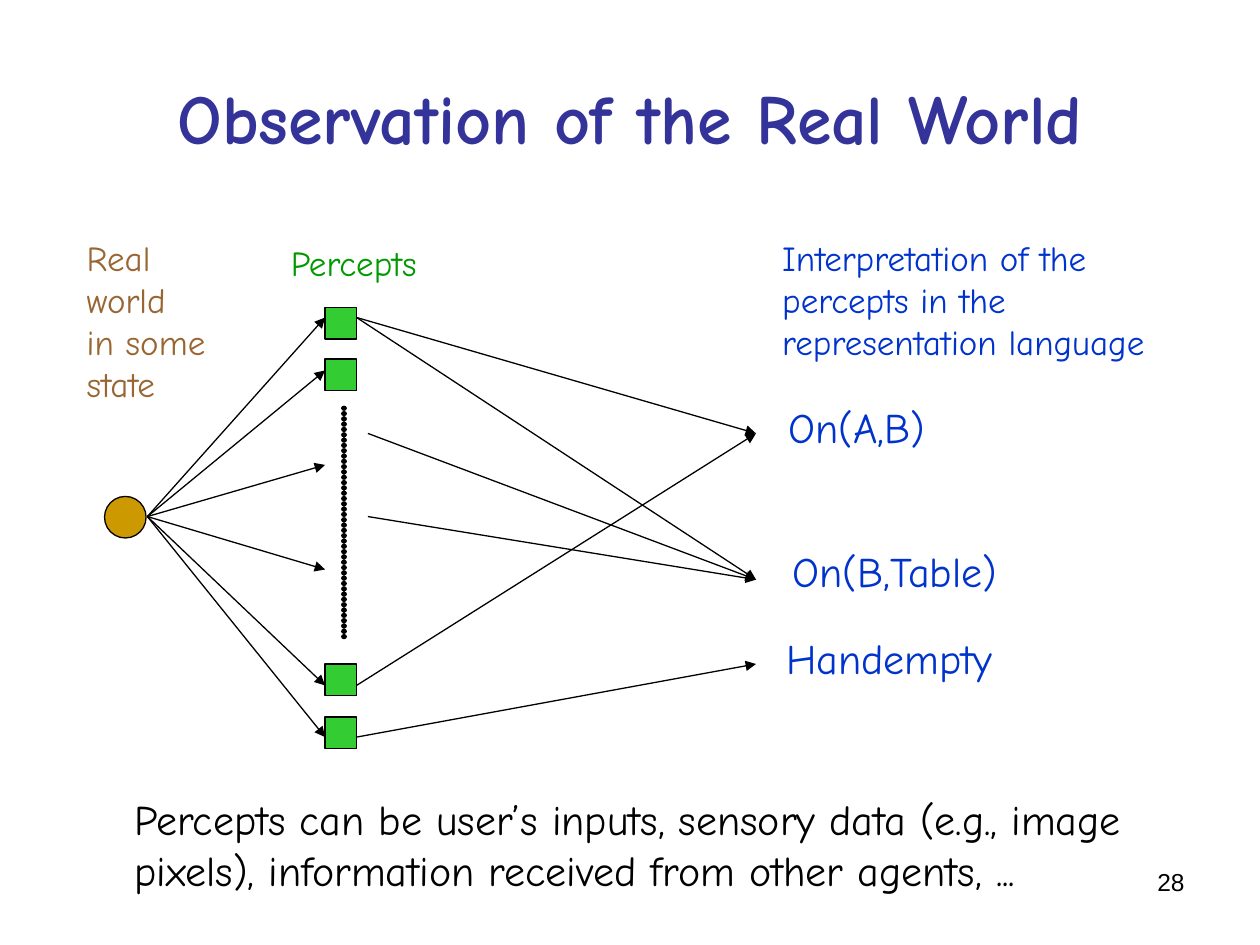
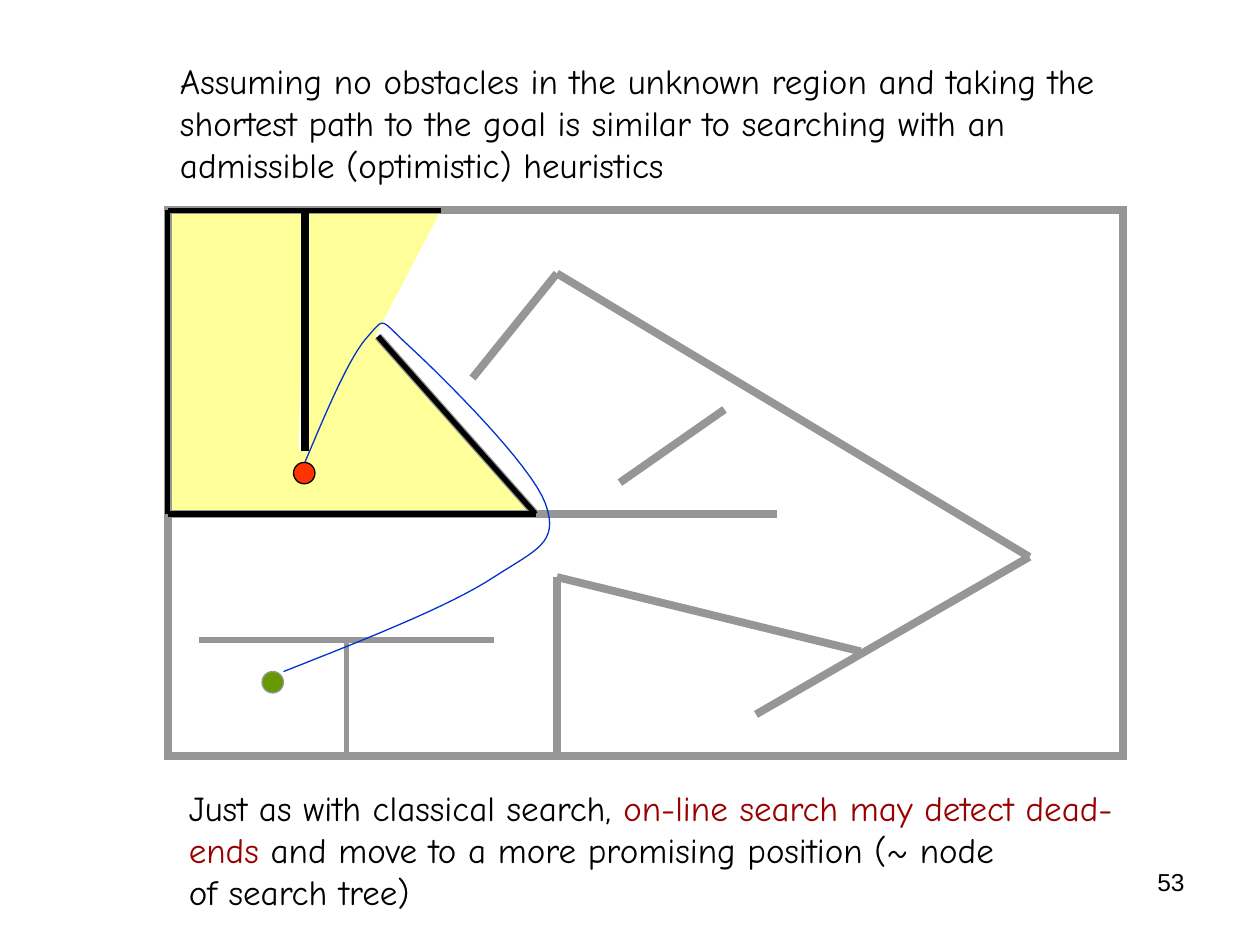
"""Builds two lecture slides: observing the real world, and on-line search in an unknown region."""
from dataclasses import dataclass

import pptx
import pptx.dml.color
import pptx.enum.shapes
import pptx.enum.text
import pptx.oxml
import pptx.oxml.ns
import pptx.util

Inches = pptx.util.Inches
MSO_SHAPE = pptx.enum.shapes.MSO_SHAPE
PP_ALIGN = pptx.enum.text.PP_ALIGN


@dataclass(frozen=True)
class Theme:
    """Fonts, type sizes, line widths and colours of the deck."""

    font: str = "Comic Neue"
    number_font: str = "Arial"
    title_size: int = 40
    large_size: int = 24
    body_size: int = 20
    number_size: int = 14
    thin: float = 0.75
    medium: float = 3
    thick: float = 4.5
    title: str = "333399"
    ink: str = "000000"
    world: str = "996633"
    world_fill: str = "CC9900"
    percept: str = "009900"
    percept_fill: str = "33CC33"
    interpretation: str = "0033CC"
    wall: str = "969696"
    seen: str = "FFFF99"
    robot: str = "FF3300"
    goal: str = "669900"
    emphasis: str = "990000"


THEME = Theme()


def rgb(code):
    """Turn a hex code into a colour."""
    return pptx.dml.color.RGBColor.from_string(code)


def drawing_xml(tag, attributes="", content=""):
    """Make one element of the drawing namespace."""
    return pptx.oxml.parse_xml(
        f"<a:{tag} {pptx.oxml.ns.nsdecls('a')} {attributes}>{content}</a:{tag}>")


def write(frame, text, size=THEME.body_size, color=THEME.ink, font=THEME.font,
          bold=False, align=PP_ALIGN.LEFT):
    """Fill a frame; text is a string or a list of (words, colour), a newline starts a paragraph."""
    frame.word_wrap = True
    runs = [(text, color)] if isinstance(text, str) else text
    paragraph = frame.paragraphs[0]
    paragraph.alignment = align
    for words, run_color in runs:
        for index, line in enumerate(words.split("\n")):
            if index:
                paragraph = frame.add_paragraph()
                paragraph.alignment = align
            run = paragraph.add_run()
            run.text = line
            run.font.size = pptx.util.Pt(size)
            run.font.name = font
            run.font.bold = bold
            run.font.color.rgb = rgb(run_color)


def bezier(start, segments, steps=16):
    """Sample a chain of cubic curves as points."""
    points = [start]
    for *controls, end in segments:
        corners = [points[-1], *controls, end]
        for step in range(1, steps + 1):
            t = step / steps
            weights = ((1 - t) ** 3, 3 * t * (1 - t) ** 2, 3 * t * t * (1 - t), t ** 3)
            points.append(tuple(sum(w * corner[axis] for w, corner in zip(weights, corners))
                                for axis in (0, 1)))
    return points


class Deck:
    """Holds the theme and the current slide, and draws each kind of element."""

    def __init__(self, theme):
        """Start an empty presentation."""
        self.theme = theme
        self.prs = pptx.Presentation()
        self.prs.slide_width = Inches(10)
        self.prs.slide_height = Inches(7.5)
        self.slide = None

    def new_slide(self, number, title=None):
        """Add a numbered slide, with a title if one is given."""
        layout = self.prs.slide_layouts.get_by_name("Title Only" if title else "Blank")
        self.slide = self.prs.slides.add_slide(layout)
        if title:
            heading = self.slide.shapes.title
            heading.left, heading.top = Inches(0.5), Inches(0.3)
            heading.width, heading.height = Inches(9), Inches(1.25)
            write(heading.text_frame, title, size=self.theme.title_size,
                  color=self.theme.title, bold=True, align=PP_ALIGN.CENTER)
        self.text(7.17, 6.83, 2.33, 0.52, str(number), size=self.theme.number_size,
                  font=self.theme.number_font, align=PP_ALIGN.RIGHT)

    def text(self, left, top, width, height, words, **style):
        """Add a text box."""
        box = self.slide.shapes.add_textbox(*map(Inches, (left, top, width, height)))
        write(box.text_frame, words, **style)

    def paint(self, shape, fill, line, width):
        """Set the fill and outline of a shape, and drop its shadow."""
        shape.shadow.inherit = False
        if fill:
            shape.fill.solid()
            shape.fill.fore_color.rgb = rgb(fill)
        else:
            shape.fill.background()
        if line:
            shape.line.color.rgb = rgb(line)
            shape.line.width = pptx.util.Pt(width)
        else:
            shape.line.fill.background()

    def shape(self, kind, left, top, width, height, fill=None, line=THEME.ink,
              line_width=THEME.thin):
        """Add a preset shape."""
        shape = self.slide.shapes.add_shape(kind, *map(Inches, (left, top, width, height)))
        self.paint(shape, fill, line, line_width)
        return shape

    def outline(self, points, fill=None, line=None, close=True):
        """Add a freeform through the points."""
        (x, y), *rest = [(Inches(px), Inches(py)) for px, py in points]
        builder = self.slide.shapes.build_freeform(x, y)
        builder.add_line_segments(rest, close=close)
        self.paint(builder.convert_to_shape(), fill, line, self.theme.thin)

    def line(self, start, end, color=THEME.ink, width=THEME.thin, arrow=False, dotted=False):
        """Add a straight connector."""
        link = self.slide.shapes.add_connector(
            pptx.enum.shapes.MSO_CONNECTOR.STRAIGHT, *map(Inches, (*start, *end)))
        link.line.color.rgb = rgb(color)
        link.line.width = pptx.util.Pt(width)
        properties = link._element.spPr
        properties.append(drawing_xml("effectLst"))
        if dotted:
            properties.ln.set("cap", "rnd")
            properties.ln.append(
                drawing_xml("custDash", content='<a:ds d="1000" sp="100000"/>'))
        if arrow:
            properties.ln.append(drawing_xml("tailEnd", 'type="triangle"'))


def observation(deck):
    """Draw the real world, its percepts and their interpretation."""
    theme = deck.theme
    deck.new_slide(28, "Observation of the Real World")

    deck.shape(MSO_SHAPE.OVAL, 0.83, 3.94, 0.33, 0.33, fill=theme.world_fill)
    deck.text(0.59, 1.83, 1.4, 1.44, "Real\nworld\nin some\nstate", color=theme.world)

    for y in (2.52, 2.94, 3.69, 4.52, 5.44, 5.85):
        deck.line((1.17, 4.1), (2.58, y), arrow=True)
    for top in (2.44, 2.85, 5.27, 5.69):
        deck.shape(MSO_SHAPE.RECTANGLE, 2.58, top, 0.25, 0.25, fill=theme.percept_fill)
    deck.line((2.73, 3.24), (2.73, 5.07), width=theme.medium, dotted=True)
    deck.text(2.21, 1.87, 1.4, 0.44, "Percepts", color=theme.percept)

    on_a_b, on_b_table, handempty = 3.44, 4.6, 5.27
    for x, y, fact in ((2.83, 2.52, on_a_b), (2.83, 5.44, on_a_b), (2.83, 2.52, on_b_table),
                       (2.92, 4.1, on_b_table), (2.92, 3.44, on_b_table),
                       (2.83, 5.85, handempty)):
        deck.line((x, y), (6, fact), arrow=True)
    for left, top, fact in ((6.16, 3.14, "On(A,B)"), (6.19, 4.28, "On(B,Table)"),
                            (6.14, 4.97, "Handempty")):
        deck.text(left, top, 2.1, 0.5, fact, size=theme.large_size,
                  color=theme.interpretation)
    deck.text(6.11, 1.83, 3.2, 1.1,
              "Interpretation of the percepts in the\nrepresentation language",
              color=theme.interpretation)

    deck.text(0.97, 6.25, 8.18, 0.9,
              "Percepts can be user’s inputs, sensory data (e.g., image pixels), "
              "information received from other agents, ...", size=theme.large_size)


def online_search(deck):
    """Draw the partly seen map with the planned path to the goal."""
    theme = deck.theme
    deck.new_slide(53)

    corner, door, view_end = (1.33, 1.67), (2.42, 1.67), (3.5, 1.67)
    low_corner, bend, tip = (1.33, 4.08), (4.25, 4.08), (3, 2.67)
    deck.outline([door, view_end, (2.98, 2.66), bend, (2.42, 4.08), (2.33, 3.58), (2.42, 3.58)],
                 fill=theme.seen)
    deck.outline([corner, door, (2.37, 3.57), (2.55, 4.01), (2.57, 4.08), low_corner],
                 fill=theme.seen)

    frame = deck.shape(MSO_SHAPE.RECTANGLE, *corner, 7.58, 4.33, line=theme.wall,
                       line_width=theme.thick)
    frame._element.spPr.ln.append(drawing_xml("miter", 'lim="800000"'))

    peak, east, junction = (4.42, 2.17), (8.17, 4.42), (4.42, 4.58)
    deck.line(door, (2.42, 3.58), width=theme.thick)
    for start, end in ((low_corner, (6.17, 4.08)), (bend, tip), ((3.75, 3), peak), (peak, east),
                       (east, (6, 5.67)), ((4.92, 3.83), (5.75, 3.25)),
                       ((6.83, 5.17), junction), (junction, (4.42, 6))):
        deck.line(start, end, color=theme.wall, width=theme.thick)
    for start, end in (((3.92, 5.08), (1.58, 5.08)), ((2.75, 5.08), (2.75, 6))):
        deck.line(start, end, color=theme.wall, width=theme.medium)

    deck.shape(MSO_SHAPE.OVAL, 2.33, 3.67, 0.17, 0.17, fill=theme.robot)
    deck.shape(MSO_SHAPE.OVAL, 2.08, 5.33, 0.17, 0.17, fill=theme.goal, line=theme.wall)

    for start, end in ((low_corner, bend), (corner, low_corner), (corner, view_end), (bend, tip)):
        deck.line(start, end, width=theme.medium)

    planned_path = bezier((2.42, 3.67), [
        ((2.6, 3.24), (2.78, 2.82), (2.92, 2.67)),
        ((3.06, 2.51), (3.01, 2.53), (3.25, 2.75)),
        ((3.49, 2.97), (4.22, 3.69), (4.33, 4)),
        ((4.44, 4.31), (4.26, 4.36), (3.92, 4.58)),
        ((3.57, 4.81), (2.91, 5.07), (2.25, 5.33)),
    ])
    deck.outline(planned_path, line=theme.interpretation, close=False)

    deck.text(1.33, 0.42, 7.58, 1.1,
              "Assuming no obstacles in the unknown region and taking the shortest path to the "
              "goal is similar to searching with an admissible (optimistic) heuristics")
    deck.text(1.4, 6.19, 7.68, 1.1, [
        ("Just as with classical search, ", theme.ink),
        ("on-line search may detect dead-ends", theme.emphasis),
        (" and move to a more promising position (~ node\nof search tree)", theme.ink)])


def main():
    """Build and save the deck."""
    deck = Deck(THEME)
    observation(deck)
    online_search(deck)
    deck.prs.save("out.pptx")


if __name__ == "__main__":
    main()
